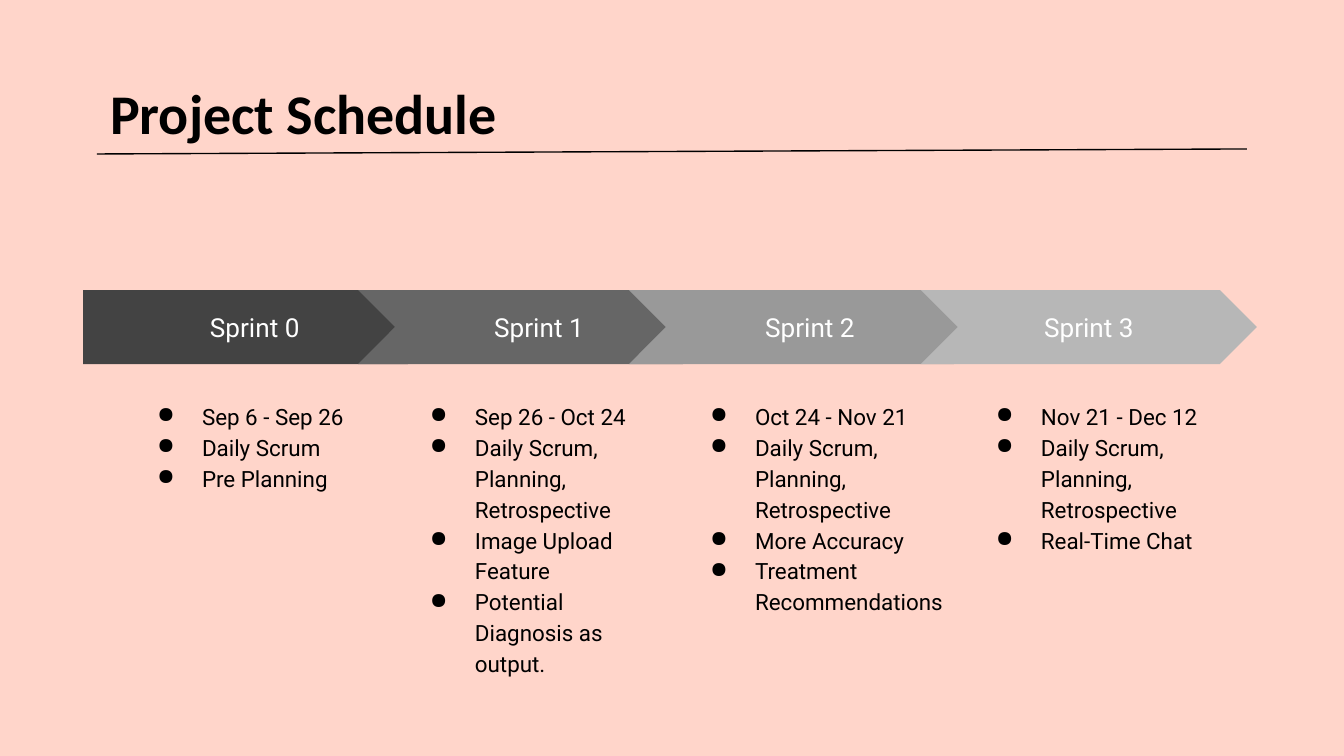
from dataclasses import dataclass
from lxml.etree import SubElement
from pptx import Presentation
from pptx.dml.color import RGBColor
from pptx.enum.shapes import MSO_CONNECTOR, MSO_SHAPE
from pptx.enum.text import MSO_ANCHOR, PP_ALIGN
from pptx.oxml.ns import qn
from pptx.util import Pt


@dataclass(frozen=True)
class Theme:
    back: str = "FFD5CA"
    ink: str = "000000"
    white: str = "FFFFFF"
    grays: tuple = ("434343", "666666", "999999", "B7B7B7")
    head: str = "Calibri"
    body: str = "Roboto"
    big: int = 30
    mid: int = 14
    small: int = 12


theme = Theme()


def px(*nums):
    return [round(num * 9144000 / 1344) for num in nums]


def style(para, face, size, color):
    para.font.name = face
    para.font.size = Pt(size)
    para.font.color.rgb = RGBColor.from_string(color)


deck = Presentation()
deck.slide_width, deck.slide_height = px(1344, 756)
slide = deck.slides.add_slide(deck.slide_layouts[5])
slide.background.fill.solid()
slide.background.fill.fore_color.rgb = RGBColor.from_string(theme.back)
pad = px(13)[0]

title = slide.shapes.title
title.left, title.top, title.width, title.height = px(97, 66, 1133, 85)
frame = title.text_frame
frame.text = "Project Schedule"
frame.vertical_anchor = MSO_ANCHOR.TOP
frame.margin_left = frame.margin_right = pad
frame.margin_top = frame.margin_bottom = pad
para = frame.paragraphs[0]
para.alignment = PP_ALIGN.LEFT
style(para, theme.head, theme.big, theme.ink)
para.font.bold = True

daily = "Daily Scrum, Planning, Retrospective"
sprints = [
    (83, 362, 122, 266, ["Sep 6 - Sep 26", "Daily Scrum", "Pre Planning"]),
    (358, 362, 395, 267, ["Sep 26 - Oct 24", daily, "Image Upload Feature",
                          "Potential Diagnosis as output."]),
    (629, 362, 675, 286, ["Oct 24 - Nov 21", daily, "More Accuracy",
                          "Treatment Recommendations"]),
    (921, 336, 961, 254, ["Nov 21 - Dec 12", daily, "Real-Time Chat"]),
]

for num, (left, width, start, span, items) in enumerate(sprints):
    kind = MSO_SHAPE.CHEVRON if num else MSO_SHAPE.PENTAGON
    arrow = slide.shapes.add_shape(kind, *px(left, 290, width, 74))
    arrow.shadow.inherit = False
    arrow.fill.solid()
    arrow.fill.fore_color.rgb = RGBColor.from_string(theme.grays[num])
    arrow.line.fill.background()
    label = arrow.text_frame
    label.text = f"Sprint {num}"
    label.vertical_anchor = MSO_ANCHOR.MIDDLE
    label.paragraphs[0].alignment = PP_ALIGN.CENTER
    style(label.paragraphs[0], theme.body, theme.mid, theme.white)

    notes = slide.shapes.add_textbox(*px(start, 386, span, 288)).text_frame
    notes.word_wrap = True
    notes.text = "\n".join(items)
    for frame in (label, notes):
        frame.margin_left = frame.margin_right = pad
        frame.margin_top = frame.margin_bottom = pad
    for para in notes.paragraphs:
        props = para._p.get_or_add_pPr()
        indent, hang = px(67, -45)
        props.set("marL", str(indent))
        props.set("indent", str(hang))
        tint = SubElement(props, qn("a:buClr"))
        SubElement(tint, qn("a:srgbClr"), val=theme.ink)
        SubElement(props, qn("a:buChar"), char="●")
        para.line_spacing = 1.15
        style(para, theme.body, theme.small, theme.ink)

rule = slide.shapes.add_connector(MSO_CONNECTOR.STRAIGHT, *px(97, 154, 1247, 149))
rule.line.color.rgb = RGBColor.from_string(theme.ink)
rule.line.width = Pt(0.75)
SubElement(rule._element.spPr, qn("a:effectLst"))

deck.save("out.pptx")
